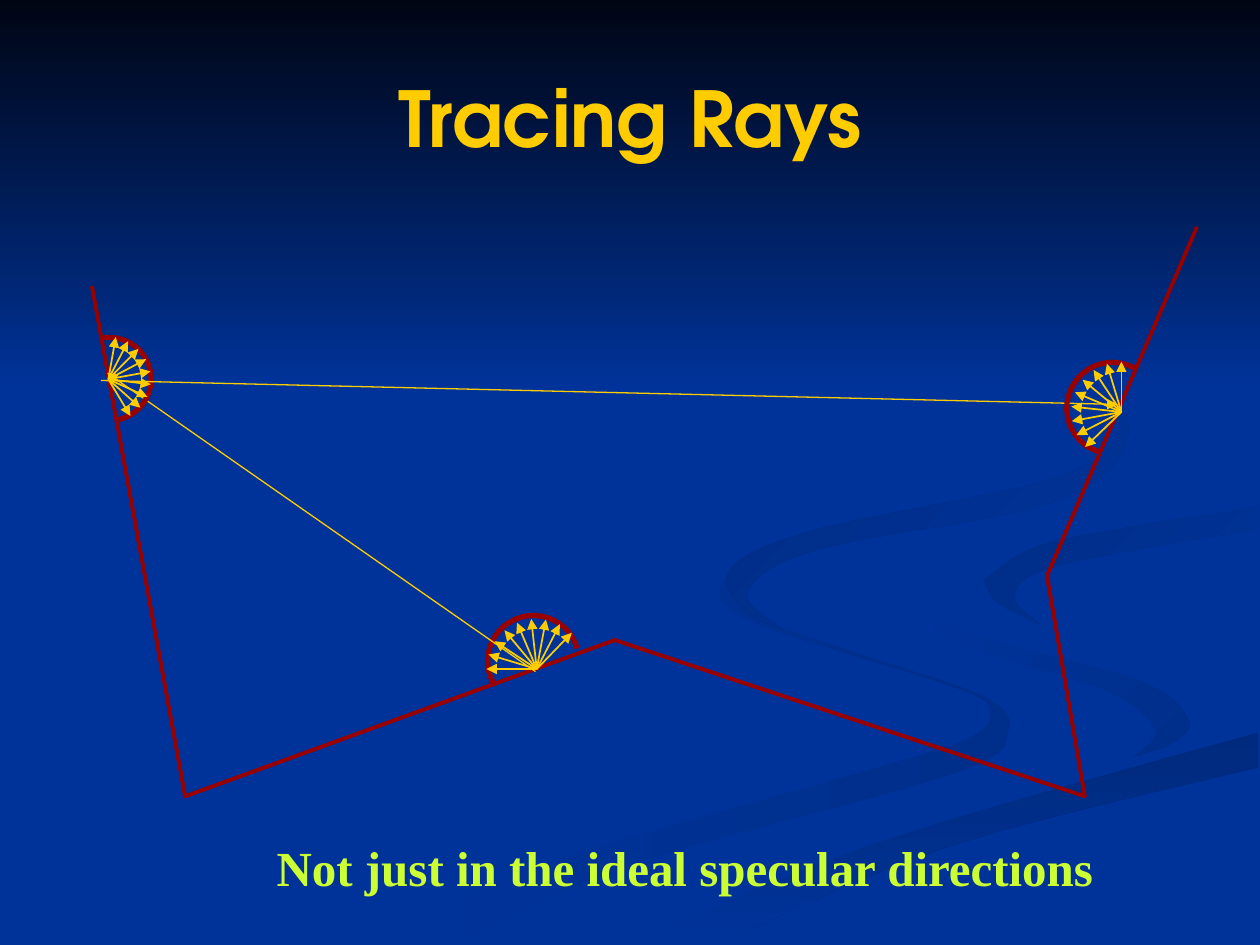
import math

from lxml import etree
from pptx import Presentation
from pptx import util as u
from pptx.dml.color import RGBColor
from pptx.enum import shapes, text
from pptx.oxml import ns

PX = 9144  # EMU per px, 100 px to the inch

BLUE = RGBColor(0x00, 0x33, 0x99)
NIGHT = RGBColor(0x00, 0x05, 0x14)
DUSK = RGBColor(0x00, 0x2E, 0x8B)
DEEP = RGBColor(0x00, 0x2A, 0x7D)
SHADE = RGBColor(0x00, 0x2D, 0x86)
HAZE = RGBColor(0x00, 0x2B, 0x82)
GOLD = RGBColor(0xFF, 0xCC, 0x00)
RED = RGBColor(0x99, 0x00, 0x00)
LIME = RGBColor(0xCC, 0xFF, 0x33)

# Edges that neighbouring ribbons share
BEND = [(725, 464), (733, 483), (793, 509), (905, 540), (943, 570)]
RAMP = [(503, 749), (630, 693), (765, 647), (999, 581)]
POOL = [(781, 460), (822, 434), (899, 418), (999, 402)]

# Each ribbon: first colour, last colour, clockwise angle, smooth edges
RIBBONS = [
    (BLUE, DUSK, 0, [
        [(575, 459), (572, 476), (611, 499), (762, 547), (786, 566), (767, 587),
         (684, 613), (417, 690), (300, 749)],
        [(361, 749), (499, 687), (756, 614), (800, 581), (781, 553), (682, 519),
         (602, 490), (575, 459)]]),
    (BLUE, DUSK, 45, [
        BEND + [(932, 589), (894, 605)],
        [(894, 605), (917, 580), (880, 549), (781, 518), (739, 494), (725, 464)]]),
    (DEEP, BLUE, 90, [RAMP, [(999, 609), (752, 672), (571, 749)]]),
    (BLUE, BLUE, 0, [
        BEND + [(926, 593), (743, 643), (477, 749)],
        RAMP,
        [(999, 538), (866, 509), (804, 485), (781, 460)],
        POOL,
        [(999, 387), (851, 411), (742, 439), (725, 464)]]),
    (SHADE, BLUE, 45, [
        POOL,
        [(999, 420), (843, 448), (805, 472), (826, 496)],
        [(826, 496), (791, 478), (781, 460)]]),
    (HAZE, BLUE, 45, [
        [(762, 233), (846, 279), (889, 335), (842, 378), (649, 420), (580, 451),
         (590, 484), (622, 500)],
        [(622, 500), (593, 470), (649, 436), (825, 402), (889, 362), (880, 307),
         (762, 233)]]),
]
SKY = [(0, 0), (0, 308), (1000, 308), (1000, 0)]
SURFACE = [(73, 227), (147, 632), (488, 508), (861, 632), (831, 457), (950, 180)]

# Angles run counter-clockwise from the right, in degrees
FLOOR_FAN = dict(hub=(426, 531), dome=(27, 199), edge=36, bulge=7, rays=(46, 180), reach=40)
LEFT_FAN = dict(hub=(86, 301), dome=(-76, 97), edge=33, bulge=1, rays=(-59, 80), reach=34)
RIGHT_FAN = dict(hub=(890, 327), dome=(71, 242), edge=36, bulge=8, rays=(90, 224), reach=40)
RAY_COUNT = 9


def spline(points, steps=5):
    """Return points along a Catmull-Rom curve through the given points."""
    padded = [points[0], *points, points[-1]]
    curve = [points[0]]
    for a, b, c, d in zip(padded, padded[1:], padded[2:], padded[3:]):
        for i in range(1, steps + 1):
            t = i / steps
            curve.append(tuple(
                q + t / 2 * (r - p + t * (2 * p - 5 * q + 4 * r - v + t * (3 * (q - r) + v - p)))
                for p, q, r, v in zip(a, b, c, d)))
    return curve


def polar(hub, degrees, radius):
    angle = math.radians(degrees)
    return hub[0] + radius * math.cos(angle), hub[1] - radius * math.sin(angle)


def spread(first, last, count):
    return [first + (last - first) * i / (count - 1) for i in range(count)]


def add_outline(container, points, close):
    scaled = [(x * PX, y * PX) for x, y in points]
    builder = container.build_freeform(*scaled[0])
    builder.add_line_segments(scaled[1:], close=close)
    sp = builder.convert_to_shape()
    sp.shadow.inherit = False
    return sp


def add_area(container, first, last, angle, points):
    sp = add_outline(container, points, True)
    sp.line.fill.background()
    if first == last:
        sp.fill.solid()
        sp.fill.fore_color.rgb = first
        return
    sp.fill.gradient()
    sp.fill.gradient_angle = (360 - angle) % 360
    for stop, color in zip(sp.fill.gradient_stops, (first, last)):
        stop.color.rgb = color


def add_stroke(container, points, width):
    sp = add_outline(container, points, False)
    sp.fill.background()
    sp.line.color.rgb = RED
    sp.line.width = u.Pt(width)


def add_arrow(container, start, end, width):
    ends = [round(v * PX) for v in (*start, *end)]
    line = container.add_connector(shapes.MSO_CONNECTOR.STRAIGHT, *ends)
    line.line.color.rgb = GOLD
    line.line.width = u.Pt(width)
    props = line.element.spPr
    etree.SubElement(props.find(ns.qn("a:ln")), ns.qn("a:tailEnd"), type="triangle")
    etree.SubElement(props, ns.qn("a:effectLst"))


def add_fan(s, hub, dome, edge, bulge, rays, reach):
    """Draw a dome and the evenly scattered arrows that leave its hub."""
    group = s.shapes.add_group_shape().shapes
    angles = spread(*dome, 25)
    radii = [edge + bulge * math.sin(turn) for turn in spread(0, math.pi, 25)]
    add_stroke(group, [polar(hub, a, r) for a, r in zip(angles, radii)], 3)
    for angle in spread(*rays, RAY_COUNT):
        add_arrow(group, hub, polar(hub, angle, reach), 1)


def set_text(sp, box, content, color, **font):
    sp.left, sp.top, sp.width, sp.height = (v * PX for v in box)
    p = sp.text_frame.paragraphs[0]
    p.alignment = text.PP_ALIGN.CENTER
    r = p.add_run()
    r.text = content
    r.font.color.rgb = color
    for name, value in font.items():
        setattr(r.font, name, value)


def main():
    prs = Presentation()
    prs.slide_width, prs.slide_height = 1000 * PX, 750 * PX
    s = prs.slides.add_slide(prs.slide_layouts[5])
    s.background.fill.solid()
    s.background.fill.fore_color.rgb = BLUE

    backdrop = s.shapes.add_group_shape().shapes
    for first, last, angle, edges in RIBBONS:
        points = [point for edge in edges for point in spline(edge)]
        add_area(backdrop, first, last, angle, points)
    add_area(backdrop, NIGHT, BLUE, 90, SKY)

    title = s.shapes.title
    s.shapes.element.append(title.element)  # bring in front of the backdrop
    set_text(title, (50, 30, 900, 125), "Tracing Rays", GOLD,
             name="TeX Gyre Adventor", size=u.Pt(44), bold=True)
    title.text_frame.vertical_anchor = text.MSO_ANCHOR.MIDDLE

    add_stroke(s.shapes, SURFACE, 2.25)
    add_fan(s, **FLOOR_FAN)
    add_arrow(s.shapes, (425, 533), (85, 296), 0.75)
    add_fan(s, **LEFT_FAN)
    add_arrow(s.shapes, (80, 302), (887, 321), 0.75)
    add_fan(s, **RIGHT_FAN)

    caption = s.shapes.add_textbox(0, 0, 0, 0)
    set_text(caption, (146, 660, 795, 57), "Not just in the ideal specular directions", LIME,
             name="Times New Roman", size=u.Pt(28), bold=True)
    caption.text_frame.word_wrap = False
    caption.text_frame.auto_size = text.MSO_AUTO_SIZE.SHAPE_TO_FIT_TEXT

    prs.save("out.pptx")


if __name__ == "__main__":
    main()
